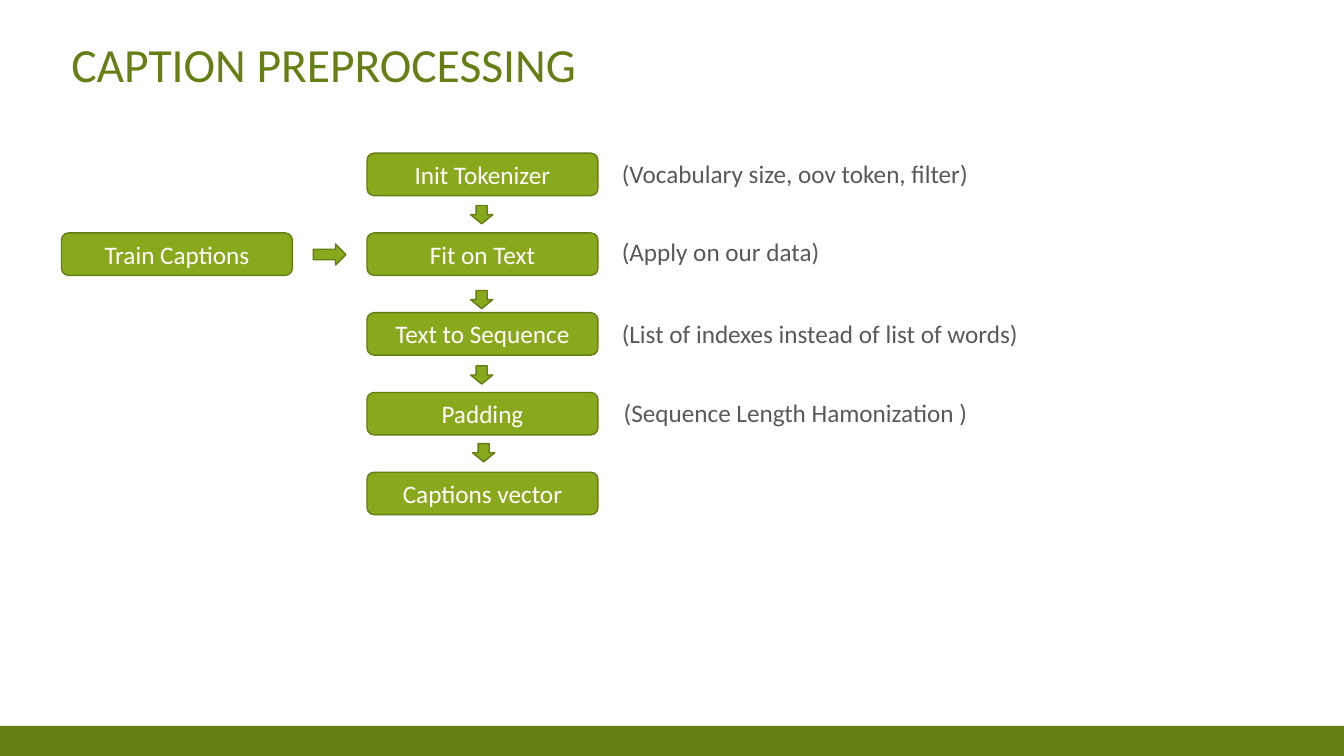
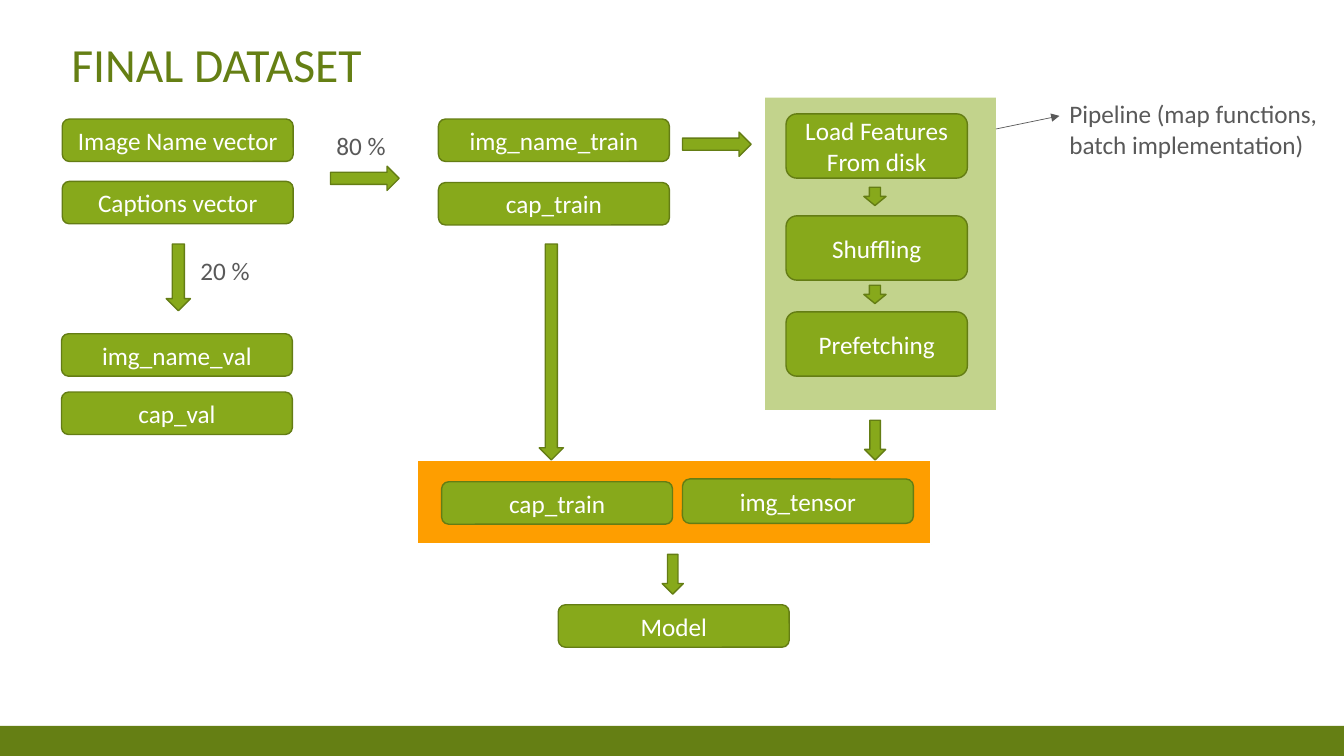
import pptx
import pptx.util
import pptx.dml.color
import pptx.enum.shapes
import pptx.enum.text
import pptx.oxml.ns
import lxml.etree

Cm, Pt = pptx.util.Cm, pptx.util.Pt
KIND = pptx.enum.shapes.MSO_SHAPE
ALIGN = pptx.enum.text.PP_ALIGN
ANCHOR = pptx.enum.text.MSO_ANCHOR
FIT = pptx.enum.text.MSO_AUTO_SIZE

FONT = "Calibri"
COLORS = {"band": "657F14", "green": "87A91B", "edge": "647D14",
          "orange": "FE9E00", "white": "FFFFFF", "text": "595959"}
WIDE, HIGH, BAND = 33.87, 19.05, 0.76

# All lengths are centimetres.
BOX = (5.82, 1.07)
STAGE = (4.57, 1.62)
SMALL = (0.56, 0.46)
SHORT = (0.53, 1.0)
LONG = (1.73, 0.61)
LINE = 1.02

# Caption steps: text, then note as (text, left, top, width)
STEPS = [
    ("Init Tokenizer", ("(Vocabulary size, oov token, filter)", 15.42, 3.86, 9.37)),
    ("Fit on Text", ("(Apply on our data)", 15.42, 5.84, 5.54)),
    ("Text to Sequence", ("(List of indexes instead of list of words)", 15.42, 7.9, 10.97)),
    ("Padding", ("(Sequence Length Hamonization )", 15.47, 9.88, 10.97)),
    ("Captions vector", None),
]
STEP_X, STEP_Y, STEP_GAP = 9.25, 3.86, 2.01
STEP_ARROWS = [(11.86, 5.18), (11.86, 7.32), (11.86, 9.22), (11.91, 11.18)]
SOURCE = ("Train Captions", 1.55, STEP_Y + STEP_GAP)

# Dataset boxes: text, left, top
SETS = [
    ("Image Name vector", 1.57, 3.0), ("Captions vector", 1.57, 4.57),
    ("img_name_train", 11.05, 3.0), ("cap_train", 11.05, 4.6),
    ("img_name_val", 1.55, 8.41), ("cap_val", 1.55, 9.88),
    ("cap_train", 11.13, 12.14), ("Model", 14.07, 15.24),
]
TENSOR = ("img_tensor", 17.2, 12.07, 5.82, 1.12)
STAGES = [("Load Features\nFrom disk", 2.87), ("Shuffling", 5.44),
          ("Prefetching", 7.86)]
STAGE_X = 19.81
PANEL = (19.28, 2.46, 5.82, 7.87)
INPUT = (10.52, 11.58, 12.95, 2.13)
DOWN = [
    (4.19, 6.15, 0.61, 1.68), (13.59, 6.15, 0.61, 5.44),
    (21.77, 4.72, *SMALL), (21.77, 7.19, *SMALL),
    (21.79, 10.59, *SHORT), (16.69, 13.97, *SHORT),
]
RIGHT = [(8.33, 4.19, *LONG), (17.2, 3.33, *LONG)]
LABELS = [
    ("80 %", 8.23, 3.15, 1.93, LINE), ("20 %", 4.8, 6.32, 1.93, LINE),
    ("Pipeline (map functions, batch implementation)", 26.7, 2.36, 6.78, 1.8),
]
POINTER = (25.1, 3.25, 26.7, 2.92)


def tint(name):
    """Return the named colour."""
    return pptx.dml.color.RGBColor.from_string(COLORS[name])


def write(frame, text, size, color, align, anchor):
    """Set and format the text of a frame."""
    frame.text = text
    frame.word_wrap = True
    frame.vertical_anchor = anchor
    for para in frame.paragraphs:
        para.alignment = align
        for run in para.runs:
            run.font.name, run.font.size = FONT, Pt(size)
            run.font.color.rgb = tint(color)


def shape(slide, kind, area, fill="green", edge="edge", width=1):
    """Add a filled shape, outlined when edge is named."""
    item = slide.shapes.add_shape(kind, *map(Cm, area))
    item.shadow.inherit = False
    item.fill.solid()
    item.fill.fore_color.rgb = tint(fill)
    if edge:
        item.line.color.rgb = tint(edge)
        item.line.width = Pt(width)
    else:
        item.line.fill.background()
    return item


def box(slide, text, left, top, wide=BOX[0], high=BOX[1]):
    """Add a rounded box with centred text."""
    item = shape(slide, KIND.ROUNDED_RECTANGLE, (left, top, wide, high))
    write(item.text_frame, text, 18, "white", ALIGN.CENTER, ANCHOR.MIDDLE)


def note(slide, text, left, top, wide, high=LINE):
    """Add plain grey text."""
    frame = slide.shapes.add_textbox(*map(Cm, (left, top, wide, high))).text_frame
    write(frame, text, 18, "text", ALIGN.LEFT, ANCHOR.TOP)
    frame.auto_size = FIT.SHAPE_TO_FIT_TEXT


def fade(item, share):
    """Make a solid fill partly opaque."""
    color = item.fill._xPr.find(".//" + pptx.oxml.ns.qn("a:srgbClr"))
    lxml.etree.SubElement(color, pptx.oxml.ns.qn("a:alpha"), val=str(share * 1000))


def pointer(slide, ends):
    """Add a thin line with an arrowhead at its end."""
    item = slide.shapes.add_connector(
        pptx.enum.shapes.MSO_CONNECTOR.STRAIGHT, *map(Cm, ends))
    item.line.color.rgb = tint("text")
    item.line.width = Pt(0.5)
    lxml.etree.SubElement(item.line._get_or_add_ln(),
                          pptx.oxml.ns.qn("a:tailEnd"), type="triangle")
    lxml.etree.SubElement(item._element.spPr, pptx.oxml.ns.qn("a:effectLst"))


def start(deck, title):
    """Add a blank slide with the band and title."""
    slide = deck.slides.add_slide(deck.slide_layouts[6])
    shape(slide, KIND.RECTANGLE, (0, HIGH - BAND, WIDE, BAND), "band", None)
    frame = slide.shapes.add_textbox(*map(Cm, (1.55, 0.86, 17.02, 1.6))).text_frame
    write(frame, title, 34, "band", ALIGN.LEFT, ANCHOR.BOTTOM)
    frame.paragraphs[0].line_spacing = 0.9
    return slide


def captions(deck):
    """Build the caption steps slide."""
    slide = start(deck, "CAPTION PREPROCESSING")
    for row, (text, hint) in enumerate(STEPS):
        box(slide, text, STEP_X, STEP_Y + row * STEP_GAP)
        if hint:
            note(slide, *hint)
    for spot in STEP_ARROWS:
        shape(slide, KIND.DOWN_ARROW, (*spot, *SMALL))
    box(slide, *SOURCE)
    shape(slide, KIND.RIGHT_ARROW, (7.9, 6.15, 0.82, 0.53))


def dataset(deck):
    """Build the dataset flow slide."""
    slide = start(deck, "FINAL DATASET")
    shape(slide, KIND.RECTANGLE, INPUT, "orange", "white", 1.5)
    fade(shape(slide, KIND.RECTANGLE, PANEL, "green", None), 50)
    for item in SETS:
        box(slide, *item)
    box(slide, *TENSOR)
    for text, top in STAGES:
        box(slide, text, STAGE_X, top, *STAGE)
    for kind, areas in ((KIND.DOWN_ARROW, DOWN), (KIND.RIGHT_ARROW, RIGHT)):
        for area in areas:
            shape(slide, kind, area)
    for label in LABELS:
        note(slide, *label)
    pointer(slide, POINTER)


deck = pptx.Presentation()
deck.slide_width, deck.slide_height = Cm(WIDE), Cm(HIGH)
captions(deck)
dataset(deck)
deck.save("out.pptx")
